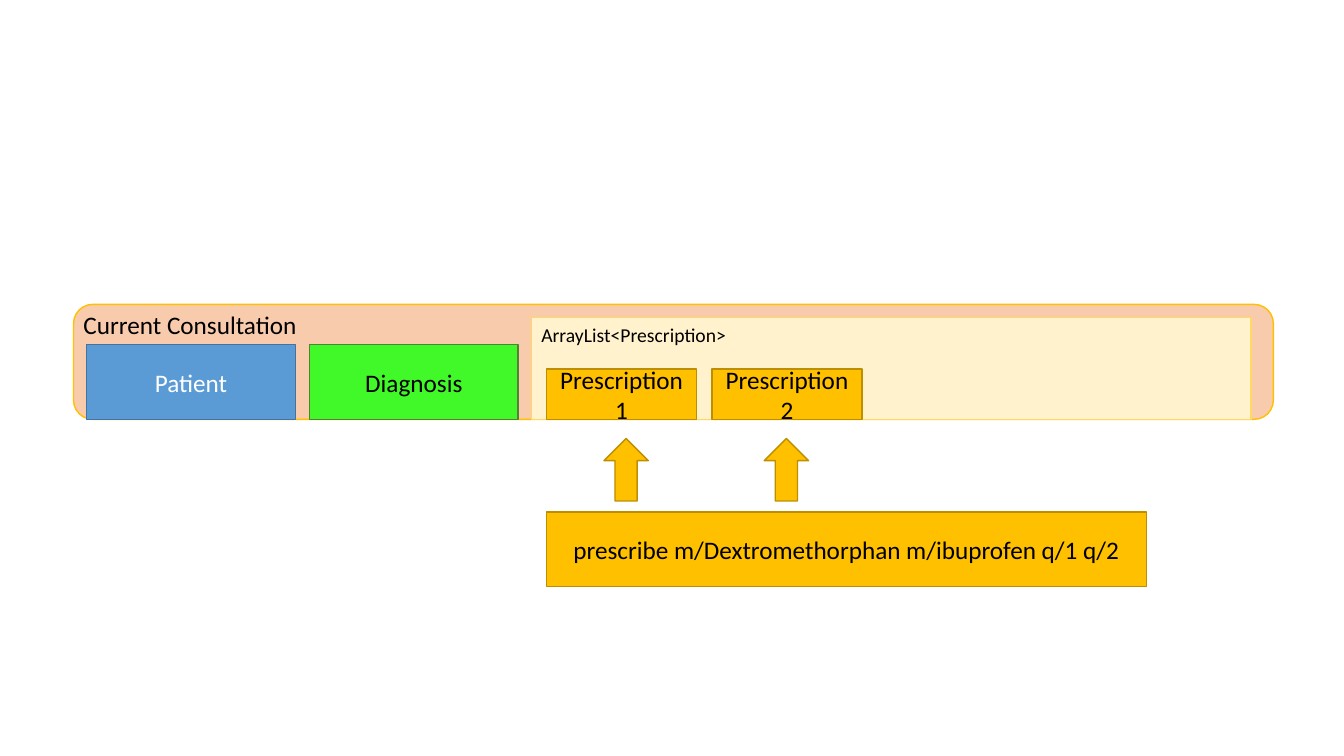
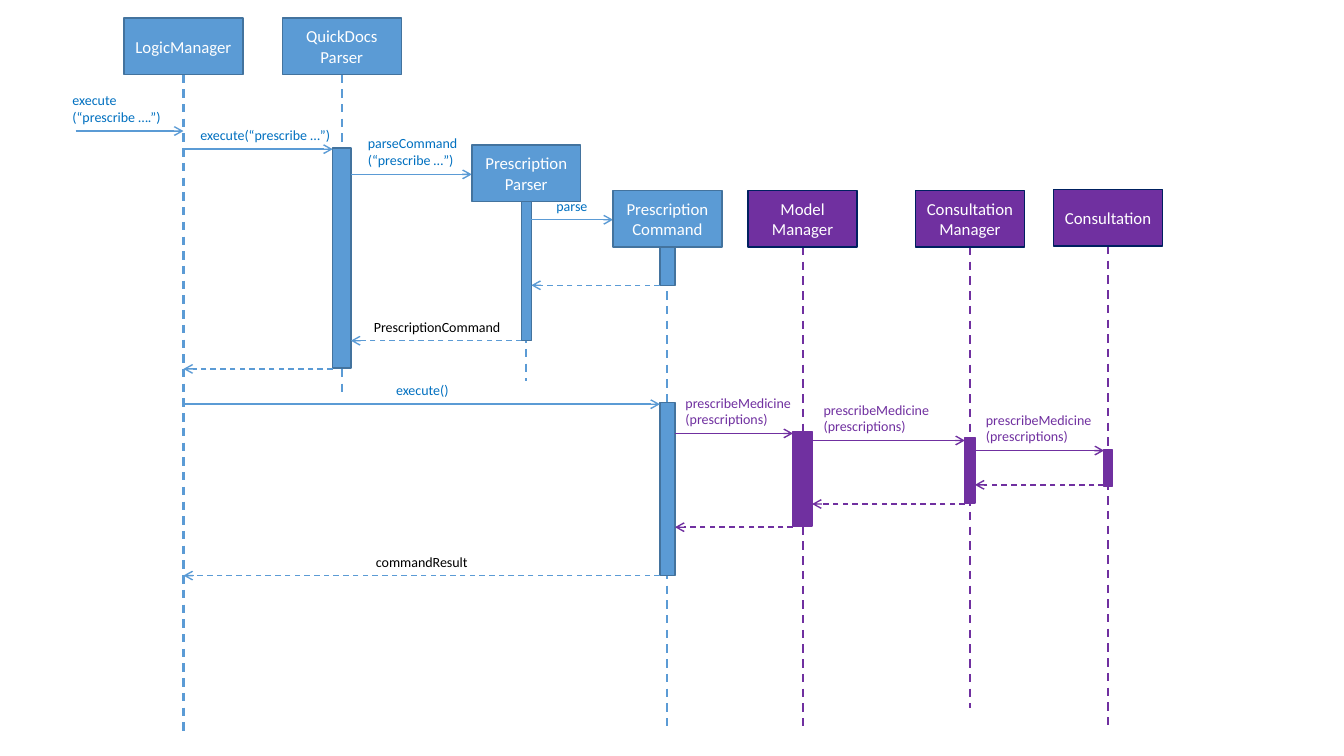
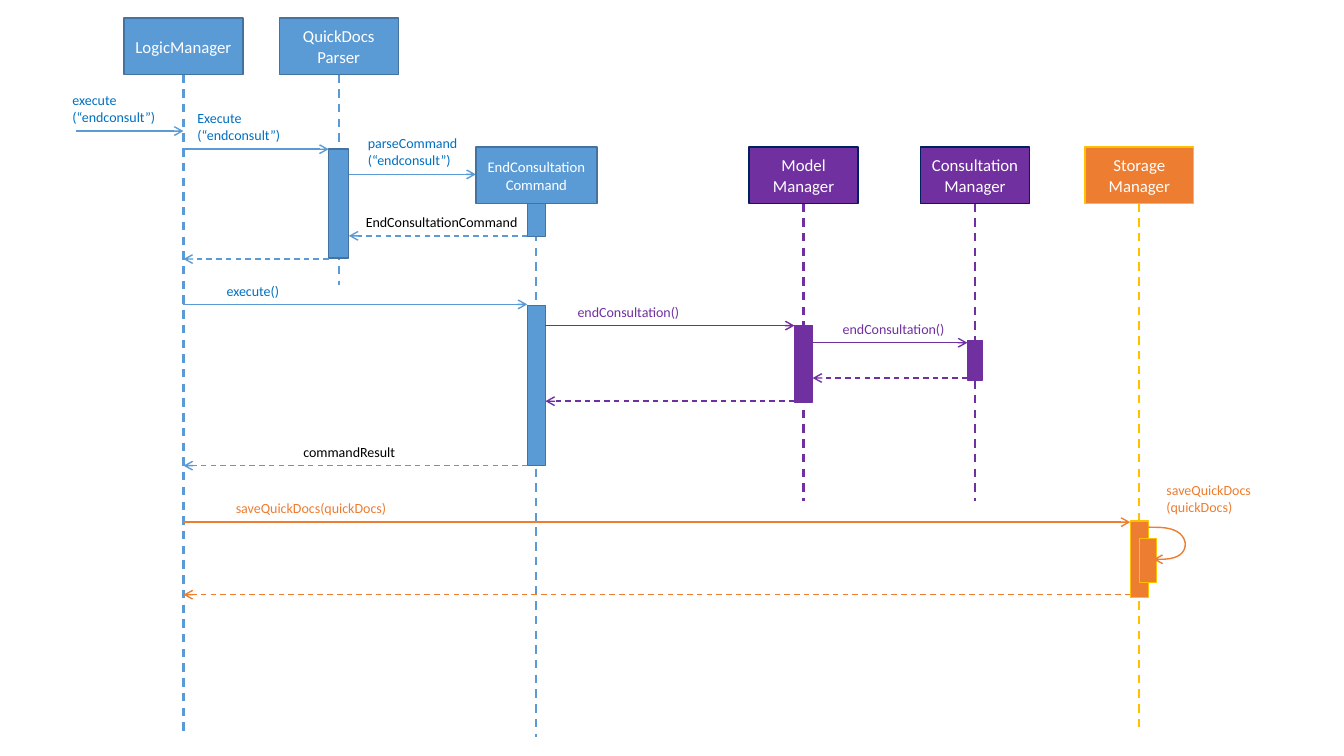
"""Builds a consultation overview and two sequence diagrams, for prescribing and for ending a consultation."""
from math import cos, pi, sin

from lxml.etree import SubElement
from pptx import Presentation
from pptx.dml.color import RGBColor
from pptx.enum.dml import MSO_LINE
from pptx.enum.shapes import MSO_CONNECTOR, MSO_SHAPE
from pptx.enum.text import MSO_ANCHOR, PP_ALIGN
from pptx.oxml.ns import qn
from pptx.util import Pt

PX = 9144
FONT = "Calibri"
COLORS = {
    "white": "FFFFFF", "black": "000000",
    "blue": "5B9BD5", "blue edge": "43739E", "blue ink": "0070C0",
    "purple": "7030A0", "navy": "002060",
    "orange": "ED7D31", "gold": "FFC000", "gold edge": "BD8E00",
    "green": "41F828", "green edge": "538035",
    "peach": "F8CBAD", "cream": "FFF2CC", "cream edge": "FFD966",
}
RGB = {name: RGBColor.from_string(value) for name, value in COLORS.items()}
LAYERS = {
    "logic": {"fill": "blue", "head": "blue edge", "bar": "blue edge", "life": "blue", "ink": "blue ink"},
    "model": {"fill": "purple", "head": "navy", "bar": "purple", "life": "purple", "ink": "purple"},
    "storage": {"fill": "orange", "head": "gold", "bar": "gold", "life": "gold", "ink": "orange"},
}
HEAD_HEIGHT = 56


def write(shape, text, size, ink, align=PP_ALIGN.LEFT, anchor=MSO_ANCHOR.TOP):
    """Set the text of a shape in one style."""
    frame = shape.text_frame
    frame.word_wrap = True
    frame.vertical_anchor = anchor
    frame.text = text
    for paragraph in frame.paragraphs:
        paragraph.alignment = align
        for run in paragraph.runs:
            run.font.name, run.font.size = FONT, Pt(size)
            run.font.color.rgb = RGB[ink]


def add_block(slide, box, fill, edge, text="", size=18, ink="black", preset=MSO_SHAPE.RECTANGLE):
    """Add a filled shape with centred text."""
    block = slide.shapes.add_shape(preset, *(round(length * PX) for length in box))
    block.shadow.inherit = False
    block.fill.solid()
    block.fill.fore_color.rgb = RGB[fill]
    block.line.color.rgb = RGB[edge]
    block.line.width = Pt(1)
    if text:
        write(block, text, size, ink, PP_ALIGN.CENTER, MSO_ANCHOR.MIDDLE)


deck = Presentation()
deck.slide_width, deck.slide_height = 1333 * PX, 750 * PX
blank = deck.slide_layouts[6]

overview = deck.slides.add_slide(blank)
add_block(overview, (73, 302, 1190, 114), "peach", "gold", preset=MSO_SHAPE.ROUNDED_RECTANGLE)
add_block(overview, (86, 342, 207, 74), "blue", "blue edge", "Patient", ink="white")
add_block(overview, (307, 342, 207, 74), "green", "green edge", "Diagnosis")
add_block(overview, (542, 508, 595, 74), "gold", "gold edge", "prescribe m/Dextromethorphan m/ibuprofen q/1 q/2")
add_block(overview, (527, 315, 714, 101), "cream", "cream edge")
for number, prescription_left, arrow_left in ((1, 542, 599), (2, 706, 758)):
    add_block(overview, (prescription_left, 366, 149, 50), "gold", "gold edge", f"Prescription {number}")
    add_block(overview, (arrow_left, 435, 44, 62), "gold", "gold edge", preset=MSO_SHAPE.UP_ARROW)
for box, text, size in (
    ((73, 302, 237, 40), "Current Consultation", 18),
    ((527, 315, 209, 34), "ArrayList<Prescription>", 14),
):
    write(overview.shapes.add_textbox(*(length * PX for length in box)), text, size, "black")

# participants: layer, name, centre, head top, head width, lifeline end, bar width
# bars: participant, top, height; messages: sender, receiver, height on the page, label, label left
diagrams = [
    {
        "command": "execute\n(“prescribe ….”)",
        "participants": [
            ("logic", "LogicManager", 182, 18, 118, 731, 0),
            ("logic", "QuickDocs\nParser", 339, 18, 118, 390, 18),
            ("logic", "Prescription\nParser", 522, 144, 108, 378, 10),
            ("logic", "Prescription\nCommand", 662, 189, 108, 720, 15),
            ("model", "Model\nManager", 796, 189, 108, 720, 19),
            ("model", "Consultation\nManager", 962, 189, 108, 702, 10),
            ("model", "Consultation", 1099, 188, 108, 720, 8),
        ],
        "bars": [
            (1, 147, 218), (2, 200, 138), (3, 244, 39), (3, 399, 172),
            (4, 428, 94), (5, 434, 65), (6, 446, 37),
        ],
        "messages": [
            (0, 1, 148, "execute(“prescribe …”)", 189),
            (1, 2, 173, "parseCommand\n(“prescribe …”)", 355),
            (2, 3, 218, "parse", 542),
            (3, 2, 283, "", 0),
            (2, 1, 338, "PrescriptionCommand", 361),
            (1, 0, 366, "", 0),
            (0, 3, 401, "execute()", 383),
            (3, 4, 430, "prescribeMedicine\n(prescriptions)", 670),
            (4, 5, 437, "prescribeMedicine\n(prescriptions)", 807),
            (5, 6, 447, "prescribeMedicine\n(prescriptions)", 968),
            (6, 5, 481, "", 0),
            (5, 4, 500, "", 0),
            (4, 3, 523, "", 0),
            (3, 0, 571, "commandResult", 363),
        ],
    },
    {
        "command": "execute\n(“endconsult”)",
        "participants": [
            ("logic", "LogicManager", 182, 18, 118, 731, 0),
            ("logic", "QuickDocs\nParser", 336, 18, 118, 283, 20),
            ("logic", "EndConsultation\nCommand", 532, 146, 120, 731, 18),
            ("model", "Model\nManager", 797, 146, 108, 497, 18),
            ("model", "Consultation\nManager", 967, 146, 108, 497, 15),
            ("storage", "Storage\nManager", 1130, 146, 108, 724, 18),
        ],
        "bars": [(1, 148, 108), (2, 201, 34), (2, 303, 159), (3, 323, 76), (4, 338, 39), (5, 517, 76)],
        "messages": [
            (0, 1, 148, "Execute\n(“endconsult”)", 186),
            (1, 2, 173, "parseCommand\n(“endconsult”)", 355),
            (2, 1, 234, "EndConsultationCommand", 353),
            (1, 0, 257, "", 0),
            (0, 2, 302, "execute()", 215),
            (2, 3, 323, "endConsultation()", 563),
            (3, 4, 340, "endConsultation()", 826),
            (4, 3, 375, "", 0),
            (3, 2, 398, "", 0),
            (2, 0, 462, "commandResult", 291),
            (0, 5, 518, "saveQuickDocs(quickDocs)", 224),
            (5, 0, 590, "", 0),
        ],
    },
]

for diagram in diagrams:
    slide = deck.slides.add_slide(blank)
    people = diagram["participants"]
    lines = [
        (LAYERS[layer]["life"], (x, top + HEAD_HEIGHT, x, end), "life")
        for layer, name, x, top, width, end, bar in people
    ]
    lines.append(("blue", (75, 130, 182, 130), "call"))
    labels = [("blue ink", 62, 130, diagram["command"])]
    for sender, receiver, y, text, label_left in diagram["messages"]:
        role = "call" if receiver > sender else "return"
        direction = 1 if role == "call" else -1
        layer = LAYERS[people[max(sender, receiver)][0]]
        target_x, head_top, head_width, target_bar = (people[receiver][i] for i in (2, 3, 4, 6))
        reach = head_width if head_top <= y <= head_top + HEAD_HEIGHT else target_bar
        start_x = people[sender][2] + direction * people[sender][6] / 2
        lines.append((layer["fill"], (start_x, y, target_x - direction * reach / 2, y), role))
        if text:
            labels.append((layer["ink"] if role == "call" else "black", label_left, y, text))

    for person, top, height in diagram["bars"]:
        layer, x, width = (people[person][i] for i in (0, 2, 6))
        lines.append((layer, (x - width / 2, top, width, height), "bar"))
    order = ("life", "bar", "call", "return")
    for color, box, role in sorted(lines, key=lambda part: order.index(part[2])):
        if role == "bar":
            add_block(slide, box, LAYERS[color]["fill"], LAYERS[color]["bar"])
            continue
        connector = slide.shapes.add_connector(MSO_CONNECTOR.STRAIGHT, *(round(length * PX) for length in box))
        connector.line.color.rgb = RGB[color]
        connector.line.width = Pt(1.5 if role == "life" else 1)
        if role != "call":
            connector.line.dash_style = MSO_LINE.DASH
        if role != "life":
            SubElement(connector.get_or_add_ln(), qn("a:tailEnd"), type="arrow")
        SubElement(connector._element.spPr, qn("a:effectLst"))

    for layer, name, x, top, width, end, bar in people:
        size = 10.5 if "EndConsultation" in name else 12
        box = (x - width / 2, top, width, HEAD_HEIGHT)
        add_block(slide, box, LAYERS[layer]["fill"], LAYERS[layer]["head"], name, size, "white")
    if people[-1][0] == "storage":
        labels.append(("orange", 1147, 517, "saveQuickDocs\n(quickDocs)"))
    for ink, left, y, text in labels:
        rows = text.split("\n")
        width, height = 20 + 7 * max(map(len, rows)), 10 + 17 * len(rows)
        box = (left, y - height, width, height)
        write(slide.shapes.add_textbox(*(length * PX for length in box)), text, 10, ink)

add_block(slide, (1130, 534, 17, 44), "orange", "gold")
STEPS = 20
loop = [
    (
        round(PX * (1139 + 5 * step / STEPS + 34 * abs(sin(pi * step / STEPS)) ** 0.6)),
        round(PX * (539 - 16 * cos(pi * step / STEPS))),
    )
    for step in range(STEPS)
] + [(1144 * PX, 555 * PX)]
outline = slide.shapes.build_freeform(*loop[0])
outline.add_line_segments(loop[1:], close=False)
self_call = outline.convert_to_shape()
self_call.shadow.inherit = False
self_call.fill.background()
self_call.line.color.rgb = RGB["orange"]
self_call.line.width = Pt(1)
SubElement(self_call.get_or_add_ln(), qn("a:tailEnd"), type="arrow")

deck.save("out.pptx")
